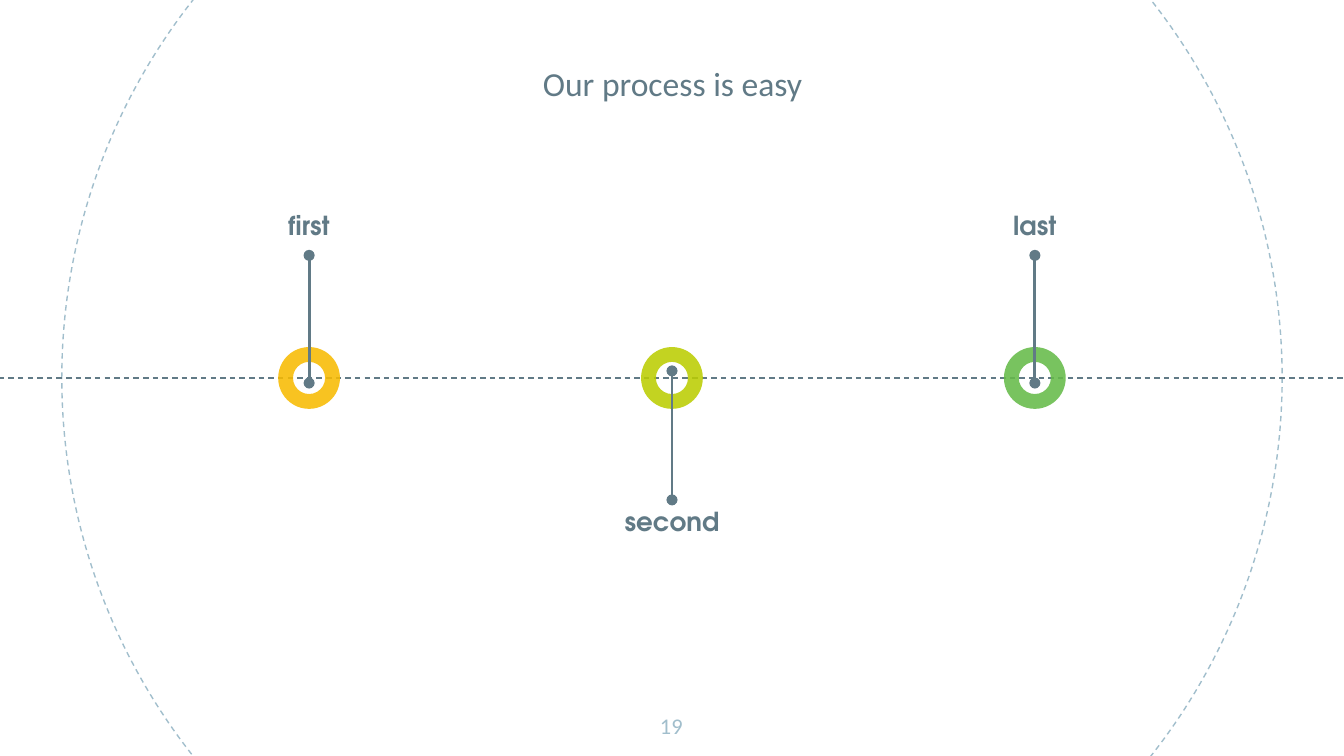
from lxml import etree
from pptx import Presentation
from pptx import util as u
from pptx.dml.color import RGBColor
from pptx.enum import dml, shapes, text
from pptx.oxml import ns

tint = {"slate": "617A86", "mist": "A1BECC", "gold": "F8BB00",
        "lime": "BBCD00", "green": "65BB48"}

wide = 10
high = wide * 9 / 16
mid = high / 2

deck = Presentation()
deck.slide_width = u.Inches(wide)
deck.slide_height = u.Inches(high)
slide = deck.slides.add_slide(deck.slide_layouts[6])


def add_text(words, box, size, font, color, bold=False, anchor="TOP"):
    frame = slide.shapes.add_textbox(*map(u.Inches, box)).text_frame
    frame.word_wrap = True
    frame.vertical_anchor = text.MSO_ANCHOR[anchor]
    frame.margin_left = frame.margin_right = u.Inches(0.1)
    frame.margin_top = frame.margin_bottom = u.Inches(0.1)
    frame.text = words
    para = frame.paragraphs[0]
    para.alignment = text.PP_ALIGN.CENTER
    run = para.runs[0].font
    run.name, run.size, run.bold = font, u.Pt(size), bold
    run.color.rgb = RGBColor.from_string(tint[color])


def add_line(start, end, width):
    line = slide.shapes.add_connector(
        shapes.MSO_CONNECTOR.STRAIGHT, *map(u.Inches, start + end))
    line.line.color.rgb = RGBColor.from_string(tint["slate"])
    line.line.width = u.Pt(width)
    etree.SubElement(line.element.spPr, ns.qn("a:effectLst"))
    return line


ring = slide.shapes.add_shape(
    shapes.MSO_SHAPE.OVAL, *map(u.Inches, (0.46, mid - 4.54, 9.08, 9.08)))
ring.shadow.inherit = False
ring.fill.background()
ring.line.color.rgb = RGBColor.from_string(tint["mist"])
ring.line.width = u.Pt(0.75)
ring.line.dash_style = dml.MSO_LINE.DASH

axis = add_line((-0.01, mid), (wide + 0.01, mid), 0.75)
axis.line.dash_style = dml.MSO_LINE.DASH

add_text("Our process is easy", (2.12, 0.17, 5.77, 0.7), 18,
         "Calibri", "slate", anchor="BOTTOM")

steps = [("first", "gold", 2.85, 1.9, 1.46),
         ("second", "lime", 2.76, 3.72, 3.66),
         ("last", "green", 2.85, 1.9, 1.46)]
for i, (name, color, start, end, top) in enumerate(steps):
    x = 2.3 + 2.7 * i
    donut = slide.shapes.add_shape(
        shapes.MSO_SHAPE.DONUT,
        *map(u.Inches, (x - 0.23, mid - 0.23, 0.46, 0.46)))
    donut.adjustments[0] = 0.24
    donut.shadow.inherit = False
    donut.line.fill.background()
    donut.fill.solid()
    donut.fill.fore_color.rgb = RGBColor.from_string(tint[color])
    shade = donut.element.spPr.find(".//" + ns.qn("a:srgbClr"))
    etree.SubElement(shade, ns.qn("a:alpha"), val="87000")

    stem = add_line((x, start), (x, end), 1.5)
    for tip in ("a:headEnd", "a:tailEnd"):
        etree.SubElement(stem.line._get_or_add_ln(), ns.qn(tip), type="oval")
    add_text(name, (x - 0.68, top, 1.36, 0.45), 14,
             "TeX Gyre Adventor", "slate", bold=True)

add_text("19", (4.74, 5.2, 0.51, 0.43), 12, "Calibri", "mist")

deck.save("out.pptx")
